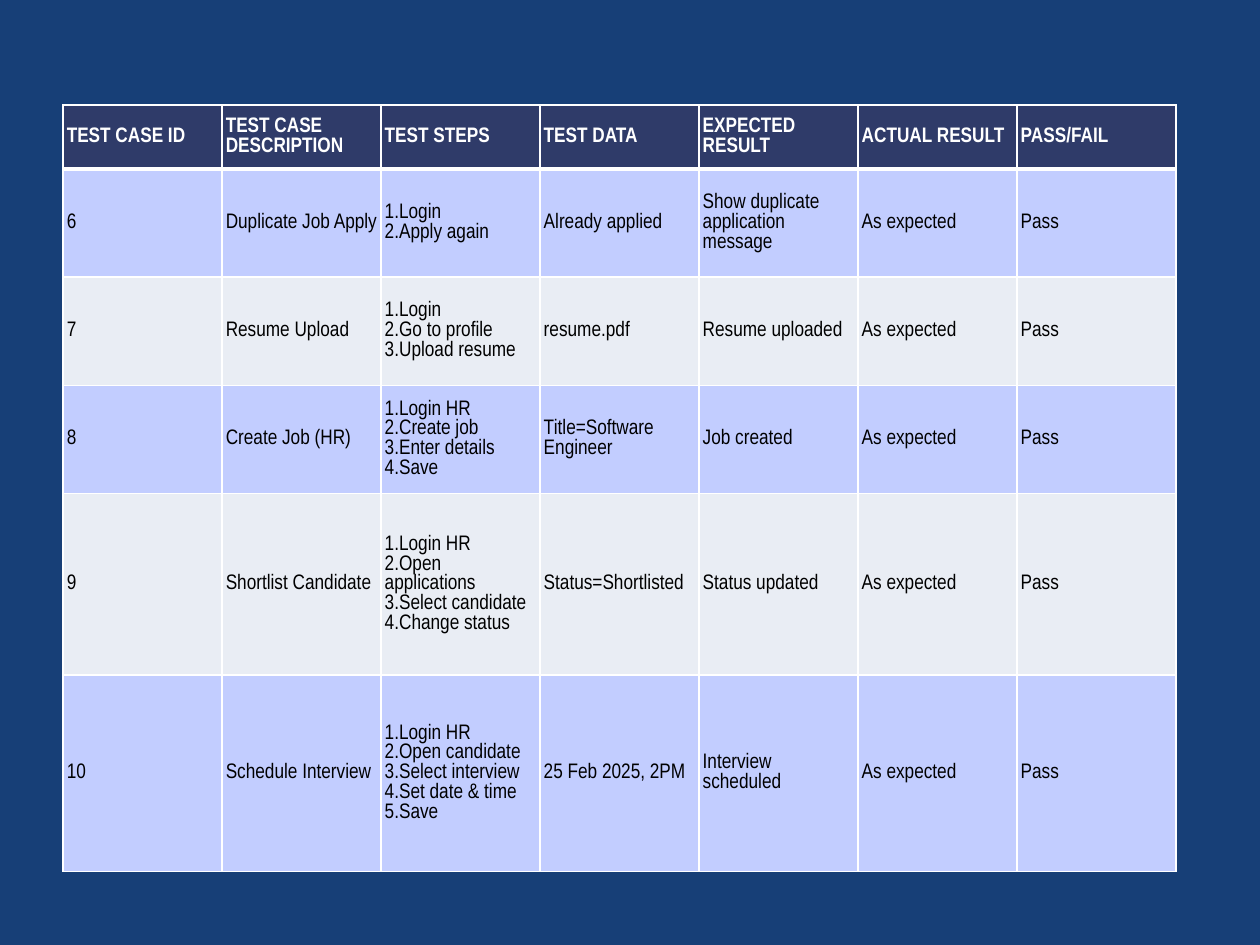
from dataclasses import dataclass

from lxml import etree
from pptx import Presentation
from pptx.dml.color import RGBColor
from pptx.enum.text import MSO_ANCHOR
from pptx.oxml.ns import qn
from pptx.util import Inches, Pt

MIDDLE = MSO_ANCHOR.MIDDLE
COLS, ROWS = 120, 90

HEADS = ["TEST CASE ID", "TEST CASE DESCRIPTION", "TEST STEPS", "TEST DATA",
         "EXPECTED RESULT", "ACTUAL RESULT", "PASS/FAIL"]
CASES = [
    ["6", "Duplicate Job Apply", "1.Login\n2.Apply again",
     "Already applied", "Show duplicate application message"],
    ["7", "Resume Upload", "1.Login\n2.Go to profile\n3.Upload resume",
     "resume.pdf", "Resume uploaded"],
    ["8", "Create Job (HR)", "1.Login HR\n2.Create job\n3.Enter details\n4.Save",
     "Title=Software Engineer", "Job created"],
    ["9", "Shortlist Candidate",
     "1.Login HR\n2.Open applications\n3.Select candidate\n4.Change status",
     "Status=Shortlisted", "Status updated"],
    ["10", "Schedule Interview",
     "1.Login HR\n2.Open candidate\n3.Select interview\n4.Set date & time\n5.Save",
     "25 Feb 2025, 2PM", "Interview scheduled"],
]
OUTCOME = ["As expected", "Pass"]
HEIGHTS = [6.1, 10.3, 10.3, 10.3, 17.3, 18.7]


@dataclass(frozen=True)
class Theme:
    back: str = "173F77"
    head: str = "2F3B69"
    bands: tuple = ("C2CDFF", "E9EDF4")
    light: str = "FFFFFF"
    dark: str = "000000"
    font: str = "Arial Narrow"
    size: int = 12
    thin: int = 1
    thick: int = 3


class Deck:
    def __init__(self, theme):
        self.theme = theme
        self.prs = Presentation()
        self.prs.slide_width = Inches(10)
        self.prs.slide_height = Inches(7.5)
        self.slide = self.prs.slides.add_slide(self.prs.slide_layouts[6])
        self.paint(self.slide.background.fill, theme.back)

    def paint(self, fill, color):
        fill.solid()
        fill.fore_color.rgb = RGBColor.from_string(color)

    def across(self, n):
        return int(self.prs.slide_width * n / COLS)

    def down(self, n):
        return int(self.prs.slide_height * n / ROWS)

    def table(self, left, top, width, heights, data):
        """Draw a table with a header row and banded rows, in grid units."""
        frame = self.slide.shapes.add_table(
            len(data), len(data[0]), self.across(left), self.down(top),
            self.across(width), self.down(sum(heights)))
        grid = frame.table
        for col in grid.columns:
            col.width = self.across(width / len(data[0]))
        for r, (row, high) in enumerate(zip(data, heights)):
            grid.rows[r].height = self.down(high)
            for c, text in enumerate(row):
                self.cell(grid.cell(r, c), text, r)

    def cell(self, cell, text, row):
        theme = self.theme
        head = row == 0
        cell.vertical_anchor = MIDDLE
        cell.margin_left = cell.margin_right = Inches(0.03)
        cell.margin_top = cell.margin_bottom = Inches(0.01)
        self.edge(cell, "L", theme.thin)
        self.edge(cell, "R", theme.thin)
        self.edge(cell, "T", theme.thick if row == 1 else theme.thin)
        self.edge(cell, "B", theme.thick if head else theme.thin)
        self.paint(cell.fill, theme.head if head else theme.bands[(row - 1) % 2])
        cell.text_frame.text = text
        for para in cell.text_frame.paragraphs:
            for run in para.runs:
                font = run.font
                font.name, font.size, font.bold = theme.font, Pt(theme.size), head
                font.color.rgb = RGBColor.from_string(
                    theme.light if head else theme.dark)

    def edge(self, cell, side, width):
        props = cell._tc.get_or_add_tcPr()
        line = etree.SubElement(props, qn(f"a:ln{side}"), w=str(Pt(width)))
        fill = etree.SubElement(line, qn("a:solidFill"))
        etree.SubElement(fill, qn("a:srgbClr"), val=self.theme.light)


def main():
    deck = Deck(Theme())
    data = [HEADS] + [case + OUTCOME for case in CASES]
    deck.table(6, 10, 106, HEIGHTS, data)
    deck.prs.save("out.pptx")


if __name__ == "__main__":
    main()
